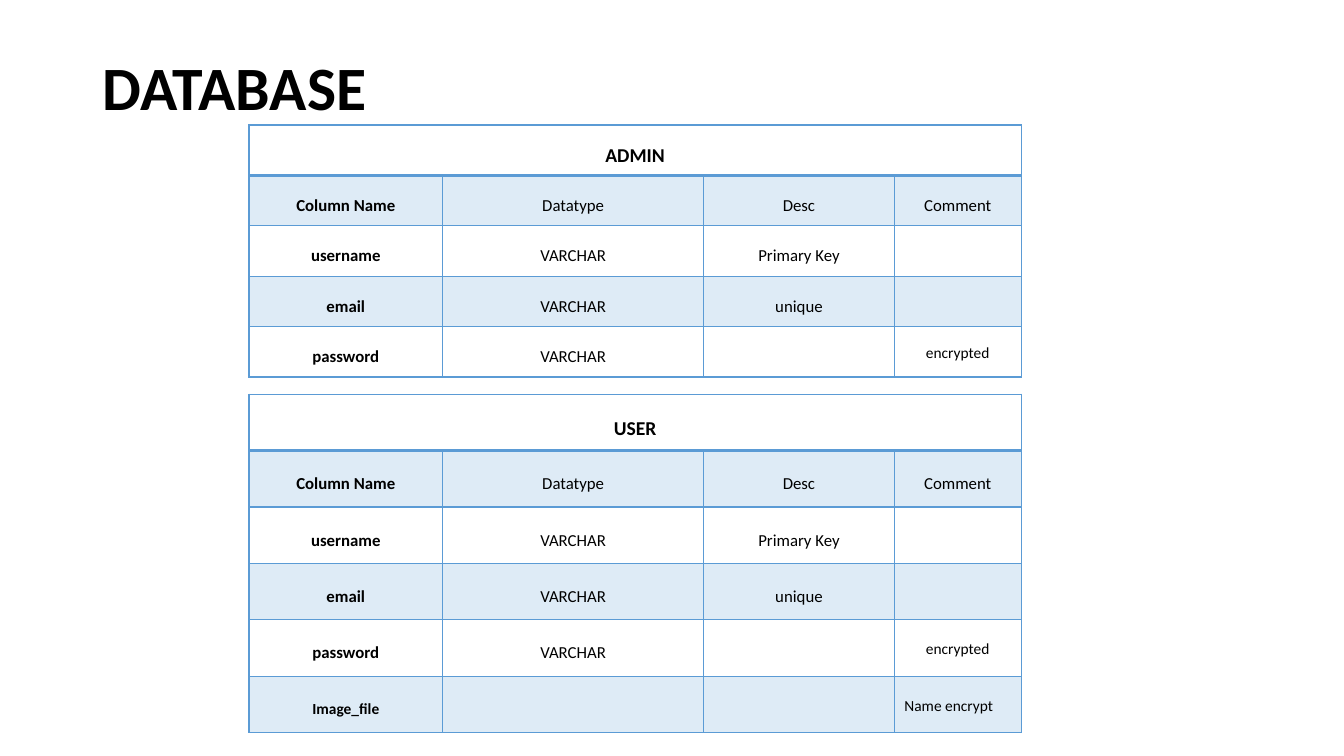
from lxml import etree
from pptx import Presentation
from pptx import util as u
from pptx.dml.color import RGBColor
from pptx.enum import text
from pptx.oxml.ns import qn

COLORS = {"ink": "000000", "blue": "5B9BD5"}
COLUMN_WIDTHS = [1.92, 2.59, 1.89, 1.26]
COMMON_ROWS = [
    ["Column Name", "Datatype", "Desc", "Comment"],
    ["username", "VARCHAR", "Primary Key", ""],
    ["email", "VARCHAR", "unique", ""],
    ["password", "VARCHAR", "", "encrypted"],
]
IMAGE_ROW = ["Image_file", "", "", "Name encrypt"]


class DatabaseSlide:
    """Holds the style and the slide, and adds its title and schema tables."""

    def __init__(self, prs, font="Calibri"):
        self.font = font
        self.s = prs.slides.add_slide(prs.slide_layouts[5])

    def format_text(self, p, size, bold, align, spacing, after=0):
        p.alignment = align
        p.line_spacing = spacing
        p.space_after = u.Pt(after)
        for r in p.runs:
            r.font.name = self.font
            r.font.size = u.Pt(size)
            r.font.bold = bold
            r.font.color.rgb = RGBColor.from_string(COLORS["ink"])

    def title(self, words):
        sp = self.s.shapes.title
        sp.left, sp.top = u.Inches(0.92), u.Inches(0.4)
        sp.width, sp.height = u.Inches(11.5), u.Inches(1)
        tf = sp.text_frame
        tf.text = words
        tf.vertical_anchor = text.MSO_ANCHOR.MIDDLE
        self.format_text(tf.paragraphs[0], 44, True, text.PP_ALIGN.LEFT, 0.9)

    def fill(self, cell, shaded):
        if not shaded:
            cell.fill.background()
            return
        cell.fill.solid()
        cell.fill.fore_color.rgb = RGBColor.from_string(COLORS["blue"])
        color = cell._tc.tcPr.find(".//" + qn("a:srgbClr"))
        etree.SubElement(color, qn("a:alpha"), val="20000")

    def borders(self, cell, bottom):
        tcPr = cell._tc.get_or_add_tcPr()
        for i, (side, width) in enumerate(
            [("lnL", 1), ("lnR", 1), ("lnT", 1), ("lnB", bottom)]
        ):
            ln = etree.Element(qn("a:" + side), w=str(u.Pt(width)))
            solid = etree.SubElement(ln, qn("a:solidFill"))
            etree.SubElement(solid, qn("a:srgbClr"), val=COLORS["blue"])
            tcPr.insert(i, ln)

    def cell(self, cell, words, row, col):
        cell.vertical_anchor = text.MSO_ANCHOR.MIDDLE
        cell.margin_top = cell.margin_bottom = 0
        self.fill(cell, row % 2 == 1)
        self.borders(cell, 2 if row == 0 else 1)
        if not words:
            return
        cell.text_frame.text = words
        p = cell.text_frame.paragraphs[0]
        remark = col == 3 and row > 1
        size = 14 if row == 0 else 11 if remark or words == "Image_file" else 12
        align = text.PP_ALIGN.LEFT if words == "Name encrypt" else text.PP_ALIGN.CENTER
        spacing, after = (1.15, 0) if remark else (1.5, 10)
        self.format_text(p, size, col == 0, align, spacing, after)

    def schema(self, name, rows, top, row_height):
        grid = [[name, "", "", ""]] + rows
        table = self.s.shapes.add_table(
            len(grid), len(COLUMN_WIDTHS), u.Inches(2.47), u.Inches(top),
            u.Inches(sum(COLUMN_WIDTHS)), u.Inches(row_height * len(grid)),
        ).table
        table.first_row = table.horz_banding = False
        for column, width in zip(table.columns, COLUMN_WIDTHS):
            column.width = u.Inches(width)
        for i, row in enumerate(grid):
            table.rows[i].height = u.Inches(row_height)
            for j, words in enumerate(row):
                self.cell(table.cell(i, j), words, i, j)
        table.cell(0, 0).merge(table.cell(0, len(COLUMN_WIDTHS) - 1))


def main():
    prs = Presentation()
    prs.slide_width, prs.slide_height = u.Inches(13.33), u.Inches(7.5)
    s = DatabaseSlide(prs)
    s.title("DATABASE")
    s.schema("ADMIN", COMMON_ROWS, 1.24, 0.5)
    s.schema("USER", COMMON_ROWS + [IMAGE_ROW], 3.91, 0.56)
    prs.save("out.pptx")


if __name__ == "__main__":
    main()
